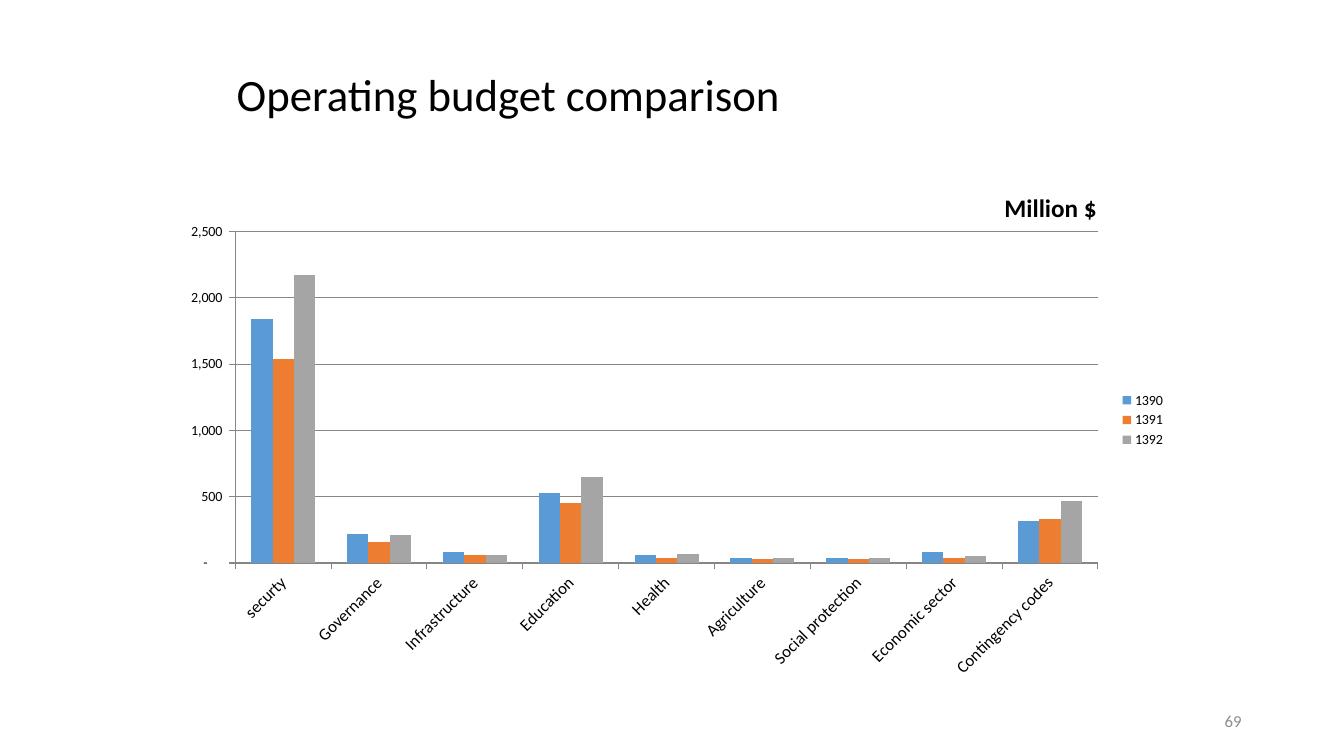
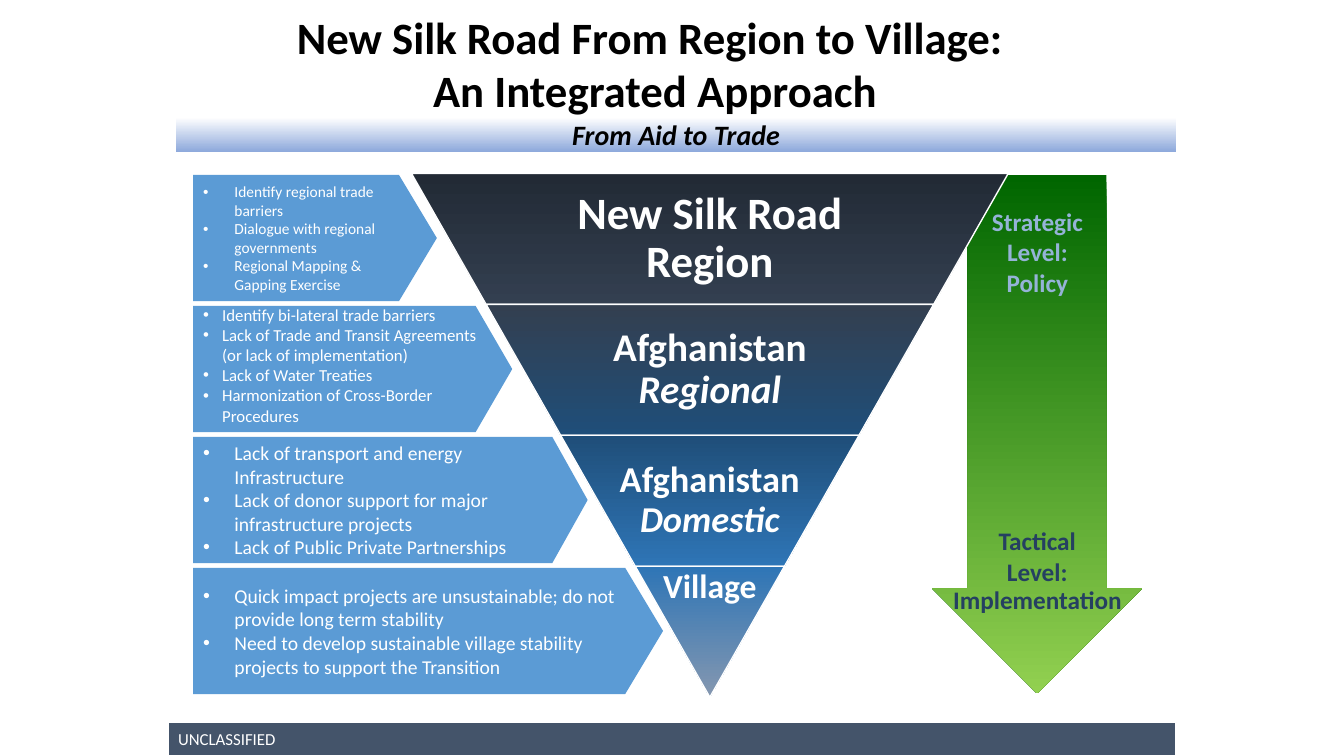
from lxml.etree import SubElement
from pptx import Presentation
from pptx.chart.data import CategoryChartData
from pptx.dml.color import RGBColor
from pptx.enum.chart import XL_CHART_TYPE, XL_LEGEND_POSITION, XL_TICK_MARK
from pptx.enum.shapes import MSO_SHAPE
from pptx.enum.text import MSO_ANCHOR, MSO_AUTO_SIZE, PP_ALIGN
from pptx.oxml.ns import qn
from pptx.util import Cm, Pt

# Shared look
FACE = "Calibri"
BLACK, WHITE, GREY = "000000", "FFFFFF", "868686"
BLUE, SLATE = "5B9BD5", "44546A"
LEFT, MID, RIGHT = PP_ALIGN.LEFT, PP_ALIGN.CENTER, PP_ALIGN.RIGHT

# Budget content
SECTORS = ["securty", "Governance", "Infrastructure", "Education", "Health",
           "Agriculture", "Social protection", "Economic sector",
           "Contingency codes"]
YEARS = [
    ("1390", BLUE, (1840, 220, 80, 530, 60, 40, 40, 80, 320)),
    ("1391", "ED7D31", (1540, 160, 60, 450, 40, 30, 30, 40, 330)),
    ("1392", "A5A5A5", (2170, 210, 60, 650, 70, 40, 40, 50, 470)),
]
MONEY = '_(* #,##0_);_(* \\(#,##0\\);_(* "-"??_);_('
CHART = (4.23, 3.81, 25.4, 13.55)

# Silk road content
HEAD = ["New Silk Road From Region to Village: ", "An Integrated Approach"]
SHADES = ["222A35", "333F50", "1F4E79", "2E75B6", "8497B0"]
LEVELS = [  # plain words, italic words, size, share of width for text
    ("New Silk Road Region", "", 32, 0.65),
    ("Afghanistan ", "Regional", 28, 0.65),
    ("Afghanistan ", "Domestic", 26, 0.65),
    ("Village", "", 24, 1),
]
PLATES = [  # size, indent, point of the plate, bottom margin, lines
    (11, 0.79, 0.3, 0.13, ["Identify regional trade barriers",
                           "Dialogue with regional governments",
                           "Regional Mapping & Gapping Exercise"]),
    (12, 0.48, 0.29, 0.33, ["Identify bi-lateral trade barriers",
                            "Lack of Trade and Transit Agreements "
                            "(or lack of implementation)",
                            "Lack of Water Treaties",
                            "Harmonization of Cross-Border Procedures"]),
    (14, 0.79, 0.28, 0.13, ["Lack of transport and energy Infrastructure",
                            "Lack of donor support for major "
                            "infrastructure projects",
                            "Lack of Public Private Partnerships"]),
    (14, 0.79, 0.3, 0.13, ["Quick impact projects are unsustainable; "
                           "do not provide long term stability",
                           "Need to develop sustainable village stability "
                           "projects to support the Transition"]),
]
NOTES = [
    ("Strategic Level: Policy", "95B3D7", (24.66, 5.08, 2.97, 2.54)),
    ("Tactical Level:", "254061", (24.55, 13.12, 3.18, 2.54)),
    ("Implementation", "254061", (23.5, 14.6, 5.29, 2.54)),
]


def color(code):
    return RGBColor.from_string(code)


def style(item, **values):
    for name, value in values.items():
        setattr(item, name, value)


def font(item, size, code=BLACK, **more):
    style(item, name=FACE, size=Pt(size), **more)
    item.color.rgb = color(code)


def write(frame, paras, size, code=BLACK, align=LEFT, anchor=MSO_ANCHOR.MIDDLE,
          space=None, indent=None, **more):
    """Each paragraph is a string or a list of (words, italic) runs."""
    style(frame, word_wrap=True, auto_size=MSO_AUTO_SIZE.NONE,
          vertical_anchor=anchor)
    for i, runs in enumerate(paras):
        para = frame.add_paragraph() if i else frame.paragraphs[0]
        style(para, alignment=align, line_spacing=space)
        if indent:
            props = para._p.get_or_add_pPr()
            props.set("marL", str(Cm(indent)))
            props.set("indent", str(-Cm(indent)))
            SubElement(props, qn("a:buFont"), typeface="Arial")
            SubElement(props, qn("a:buChar"), char="•")
        for words, slant in [(runs, None)] if isinstance(runs, str) else runs:
            run = para.add_run()
            run.text = words
            font(run.font, size, code, **{"italic": slant, **more})


def paint(shape, *codes, line=None):
    """One colour fills flat, two run from top to bottom."""
    shape.shadow.inherit = False
    if len(codes) == 1:
        shape.fill.solid()
        shape.fill.fore_color.rgb = color(codes[0])
    else:
        shape.fill.gradient()
        shape.fill.gradient_angle = 270
        for stop, code in zip(shape.fill.gradient_stops, codes):
            stop.color.rgb = color(code)
    if line:
        shape.line.color.rgb = color(line)
        shape.line.width = Pt(1)
    else:
        shape.line.fill.background()


def add(slide, kind, box, *codes, line=None, adj=()):
    shape = slide.shapes.add_shape(kind, *map(Cm, box))
    for i, value in enumerate(adj):
        shape.adjustments[i] = value
    paint(shape, *codes, line=line)
    return shape


def label(slide, box, text, size, code, **more):
    frame = slide.shapes.add_textbox(*map(Cm, box)).text_frame
    write(frame, [text], size, code, **more)


def start(deck, box, lines, **more):
    slide = deck.slides.add_slide(deck.slide_layouts[5])
    title = slide.shapes.title
    style(title, **dict(zip(("left", "top", "width", "height"), map(Cm, box))))
    write(title.text_frame, lines, 32, **more)
    return slide


def place(parent, index, **spots):
    """Fix a chart part, with lengths in cm from the chart's corner."""
    for old in parent.findall(qn("c:layout")):
        parent.remove(old)
    layout = parent.makeelement(qn("c:layout"))
    parent.insert(index, layout)
    manual = SubElement(layout, qn("c:manualLayout"))
    if "w" in spots:
        SubElement(manual, qn("c:layoutTarget"), val="inner")
    for mode in ("xMode", "yMode"):
        SubElement(manual, qn("c:" + mode), val="edge")
    for name, value in spots.items():
        whole = CHART[2] if name in "xw" else CHART[3]
        SubElement(manual, qn("c:" + name), val=str(value / whole))


def budget(deck):
    slide = start(deck, (5.71, 0.85, 22.86, 3.18),
                  ["Operating budget comparison"], space=0.9)
    label(slide, (23.92, 17.65, 7.62, 1.02), "69", 12, "8C8C8C", align=RIGHT)

    # Chart and series
    data = CategoryChartData()
    data.categories = SECTORS
    for name, _, values in YEARS:
        data.add_series(name, values)
    chart = slide.shapes.add_chart(
        XL_CHART_TYPE.COLUMN_CLUSTERED, *map(Cm, CHART), data).chart
    font(chart.font, 10)
    plot = chart.plots[0]
    style(plot, gap_width=150, overlap=0, vary_by_categories=False)
    for series, (_, code, _) in zip(plot.series, YEARS):
        series.format.fill.solid()
        series.format.fill.fore_color.rgb = color(code)

    # Legend, title and plot area
    chart.has_legend = True
    style(chart.legend, position=XL_LEGEND_POSITION.RIGHT,
          include_in_layout=False)
    chart.has_title = True
    title = chart.chart_title
    title.include_in_layout = True
    run = title.text_frame.paragraphs[0].add_run()
    run.text = "Million $"
    font(run.font, 18, bold=True)
    place(title._element, 1, x=20.97, y=0.86)
    place(chart._chartSpace.find(".//" + qn("c:plotArea")), 0,
          x=1.7, y=2.03, w=21.74, h=8.35)

    # Axes
    cats, vals = chart.category_axis, chart.value_axis
    style(vals, has_major_gridlines=True, minimum_scale=0,
          maximum_scale=2500, major_unit=500)
    style(vals.tick_labels, number_format=MONEY, number_format_is_linked=False)
    for axis, size in ((cats, 12), (vals, 10)):
        axis.major_tick_mark = XL_TICK_MARK.OUTSIDE
        font(axis.tick_labels.font, size)
    for part in (cats, vals, vals.major_gridlines):
        part.format.line.color.rgb = color(GREY)
        part.format.line.width = Pt(0.75)
    turn = cats._element.find(qn("c:txPr")).find(qn("a:bodyPr"))
    turn.set("rot", str(-45 * 60000))


def funnel(slide):
    mid, top, wide, step = 17.89, 4.37, 15.04, 3.3
    count = len(LEVELS)
    for i, (plain, slant, size, share) in enumerate(LEVELS):
        upper = wide * (count - i) / count
        lower = wide * (count - i - 1) / count
        y = top + i * step
        spots = [(mid - upper / 2, y), (mid + upper / 2, y),
                 (mid + lower / 2, y + step), (mid - lower / 2, y + step)]
        points = [(Cm(a), Cm(b)) for a, b in spots]
        path = slide.shapes.build_freeform(*points[0])
        path.add_line_segments(points[1:], close=True)
        layer = path.convert_to_shape()
        paint(layer, SHADES[i], SHADES[i + 1], line=WHITE)
        side = Cm(upper * (1 - share) / 2 + 0.1)
        frame = layer.text_frame
        style(frame, margin_left=side, margin_right=side,
              margin_top=Cm(0.08), margin_bottom=Cm(0.08))
        runs = [(plain, None)] + ([(slant, True)] if slant else [])
        write(frame, [runs], size, WHITE, MID, space=0.9, bold=True,
              anchor=MSO_ANCHOR.TOP if share == 1 else MSO_ANCHOR.MIDDLE)


def road(deck):
    slide = start(deck, (6.35, 0, 20.32, 3.18), HEAD, align=MID, bold=True)

    # Arrow behind the funnel
    add(slide, MSO_SHAPE.DOWN_ARROW, (23.49, 4.41, 5.29, 13.06),
        "006600", "92D050", adj=(0.66, 0.5))
    funnel(slide)

    # Plates on the left
    for i, (size, indent, tip, low, points) in enumerate(PLATES):
        box = (4.87, 4.41 + 3.3 * i, 6.14 + 1.9 * i, 3.18)
        plate = add(slide, MSO_SHAPE.PENTAGON, box, BLUE, adj=(tip,))
        plate.text_frame.margin_bottom = Cm(low)
        write(plate.text_frame, points, size, WHITE, indent=indent)

    # Words on the arrow
    for text, code, box in NOTES:
        label(slide, box, text, 18, code, align=MID,
              anchor=MSO_ANCHOR.TOP, bold=True)

    # Bands
    band = add(slide, MSO_SHAPE.RECTANGLE, (4.44, 2.96, 25.2, 0.85),
               WHITE, "8FAADC")
    write(band.text_frame, ["From Aid to Trade"], 20, align=MID,
          bold=True, italic=True)
    foot = add(slide, MSO_SHAPE.RECTANGLE, (4.24, 18.2, 25.4, 0.85),
               SLATE, line=WHITE)
    write(foot.text_frame, ["UNCLASSIFIED"], 12, WHITE)


def main():
    deck = Presentation()
    style(deck, slide_width=Cm(33.87), slide_height=Cm(19.05))
    budget(deck)
    road(deck)
    deck.save("out.pptx")


if __name__ == "__main__":
    main()
